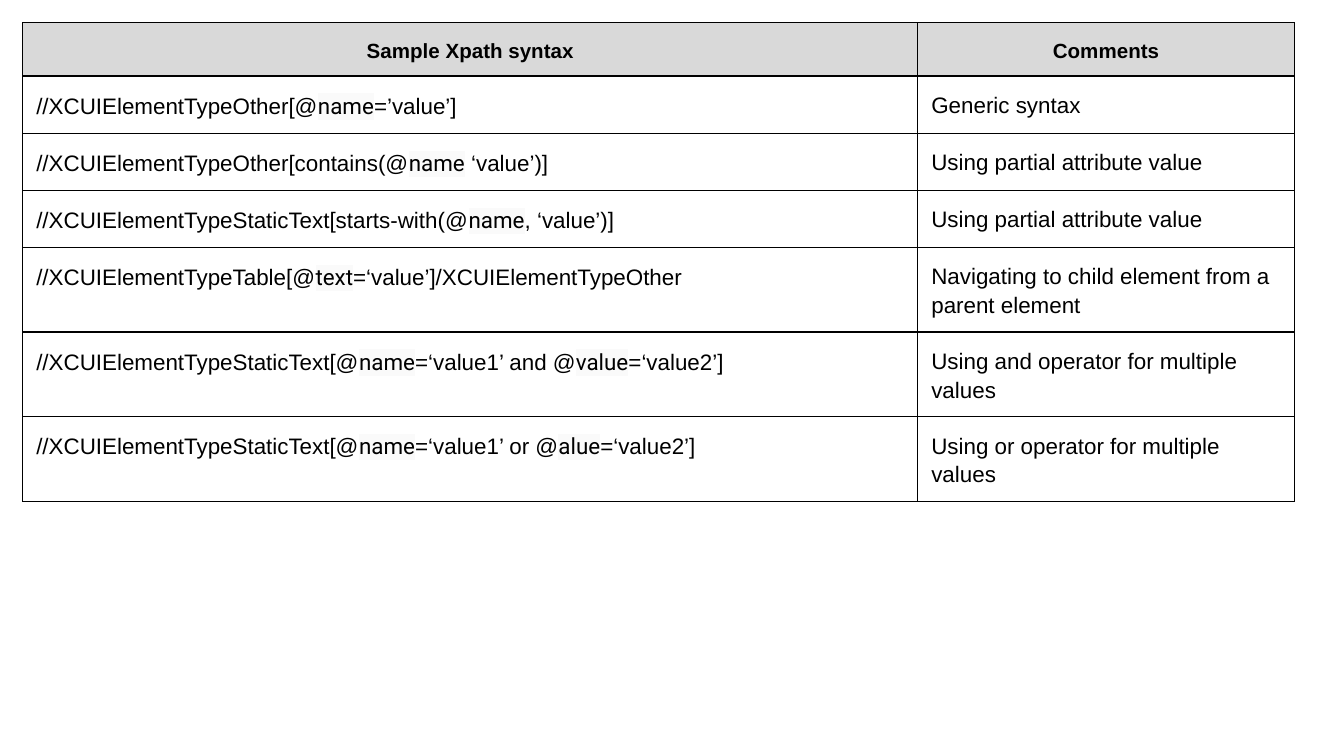
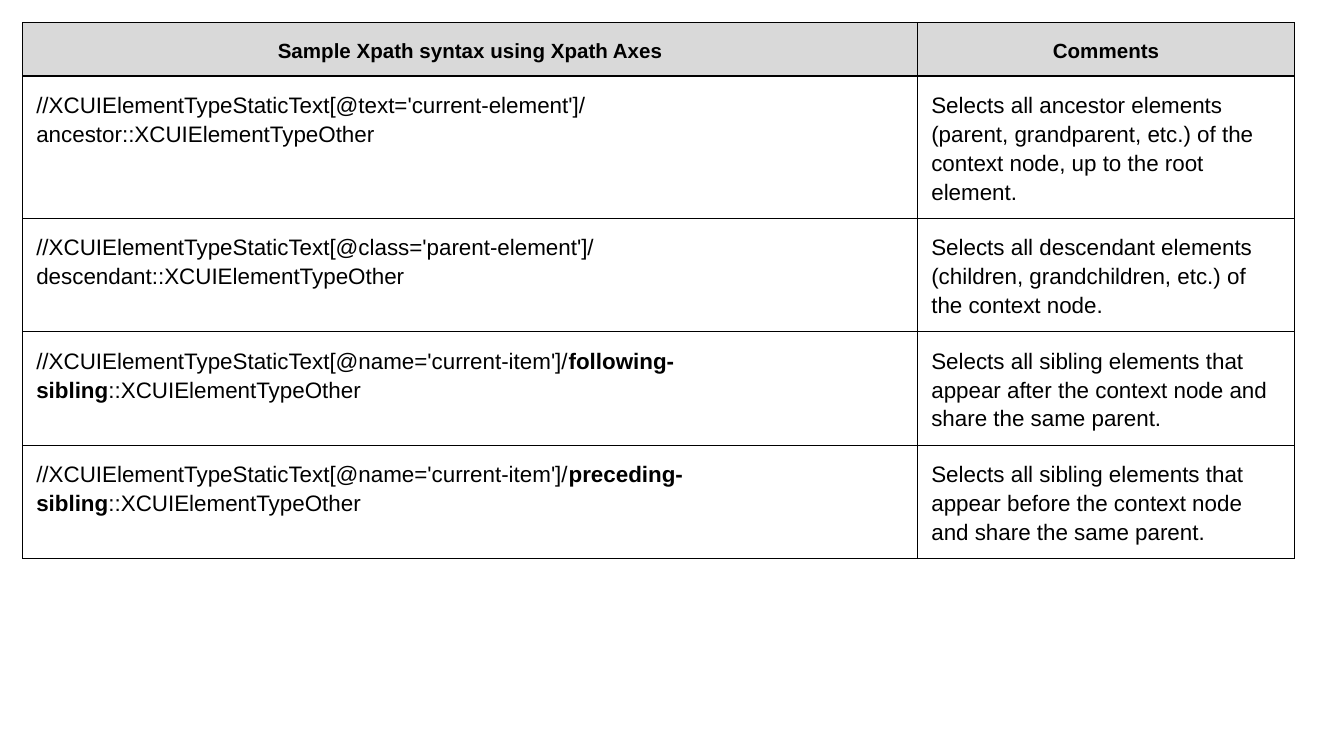
"""Build two slides of sample XPath syntax tables."""
from lxml.etree import SubElement
from pptx import Presentation
from pptx.dml.color import RGBColor
from pptx.enum.text import PP_ALIGN
from pptx.oxml import parse_xml
from pptx.oxml.ns import nsdecls, qn
from pptx.util import Inches, Pt

BLACK = RGBColor(0x00, 0x00, 0x00)
HEADER_GREY = RGBColor(0xD9, 0xD9, 0xD9)
HIGHLIGHT = RGBColor(0xFA, 0xFA, 0xFA)
BODY_FONT, ATTRIBUTE_FONT = "Arial", "Roboto"
MARK = "|"

SYNTAX_ROWS = [
    ("Sample Xpath syntax", "Comments"),
    ("//XCUIElementTypeOther[@|name|=’value’]", "Generic syntax"),
    ("//XCUIElementTypeOther[contains(@|name| ‘value’)]",
     "Using partial attribute value"),
    ("//XCUIElementTypeStaticText[starts-with(@|name|, ‘value’)]",
     "Using partial attribute value"),
    ("//XCUIElementTypeTable[@|text|=‘value’]/XCUIElementTypeOther",
     "Navigating to child element from a parent element"),
    ("//XCUIElementTypeStaticText[@|name|=‘value1’ and @|value|=‘value2’]",
     "Using and operator for multiple values"),
    ("//XCUIElementTypeStaticText[@|name|=‘value1’ or @|alue|=‘value2’]",
     "Using or operator for multiple values"),
]
AXES_ROWS = [
    ("Sample Xpath syntax using Xpath Axes", "Comments"),
    ("//XCUIElementTypeStaticText[@text='current-element']/ancestor::XCUIElementTypeOther",
     "Selects all ancestor elements (parent, grandparent, etc.) of the context node, "
     "up to the root element."),
    ("//XCUIElementTypeStaticText[@class='parent-element']/descendant::XCUIElementTypeOther",
     "Selects all descendant elements (children, grandchildren, etc.) of the context node."),
    ("//XCUIElementTypeStaticText[@name='current-item']/|following-sibling|"
     "::XCUIElementTypeOther",
     "Selects all sibling elements that appear after the context node and share the same parent."),
    ("//XCUIElementTypeStaticText[@name='current-item']/|preceding-sibling|"
     "::XCUIElementTypeOther",
     "Selects all sibling elements that appear before the context node and share the same parent."),
]

SLIDE_WIDTH = Inches(10)
SLIDE_HEIGHT = SLIDE_WIDTH * 9 // 16
TABLE_LEFT = TABLE_TOP = Inches(0.17)
COLUMN_WIDTHS = [Inches(w) for w in (6.24, 0.42, 2.8)]
MIN_ROW_HEIGHT = Inches(0.18)
CELL_MARGIN = Inches(0.1)
BORDER_WIDTH = Pt(0.75)


def mark_attribute(r):
    r.font.name = ATTRIBUTE_FONT
    highlight = parse_xml(
        f'<a:highlight {nsdecls("a")}><a:srgbClr val="{HIGHLIGHT}"/></a:highlight>')
    r._r.get_or_add_rPr().insert(0, highlight)


def mark_bold(r):
    r.font.bold = True


def style_cell(cell, is_header):
    cell.margin_left = cell.margin_right = CELL_MARGIN
    cell.margin_top = cell.margin_bottom = CELL_MARGIN
    tc_pr = cell._tc.get_or_add_tcPr()
    for side in ("lnL", "lnR", "lnT", "lnB"):
        ln = SubElement(tc_pr, qn(f"a:{side}"), w=str(BORDER_WIDTH))
        fill = SubElement(ln, qn("a:solidFill"))
        SubElement(fill, qn("a:srgbClr"), val=str(BLACK))
    if is_header:
        cell.fill.solid()
        cell.fill.fore_color.rgb = HEADER_GREY
    else:
        cell.fill.background()


def write_cell(cell, text, is_header, mark):
    p = cell.text_frame.paragraphs[0]
    p.alignment = PP_ALIGN.CENTER if is_header else PP_ALIGN.LEFT
    p.line_spacing = 1.15
    p.font.name = BODY_FONT
    p.font.size = Pt(11 if is_header else 12)
    p.font.bold = is_header
    p.font.color.rgb = BLACK
    for i, piece in enumerate(text.split(MARK)):
        r = p.add_run()
        r.text = piece
        if i % 2:
            mark(r)


def add_syntax_table(slide, rows, mark):
    frame = slide.shapes.add_table(len(rows), len(COLUMN_WIDTHS), TABLE_LEFT, TABLE_TOP,
                                   sum(COLUMN_WIDTHS), MIN_ROW_HEIGHT * len(rows))
    table = frame.table
    table.first_row = table.horz_banding = False
    for column, width in zip(table.columns, COLUMN_WIDTHS):
        column.width = width
    for i, (syntax, comment) in enumerate(rows):
        is_header = i == 0
        for j in range(len(COLUMN_WIDTHS)):
            style_cell(table.cell(i, j), is_header)
        table.cell(i, 0).merge(table.cell(i, 1))
        write_cell(table.cell(i, 0), syntax, is_header, mark)
        write_cell(table.cell(i, 2), comment, is_header, mark)


def main():
    prs = Presentation()
    prs.slide_width, prs.slide_height = SLIDE_WIDTH, SLIDE_HEIGHT
    for rows, mark in ((SYNTAX_ROWS, mark_attribute), (AXES_ROWS, mark_bold)):
        add_syntax_table(prs.slides.add_slide(prs.slide_layouts[6]), rows, mark)
    prs.save("out.pptx")


if __name__ == "__main__":
    main()
